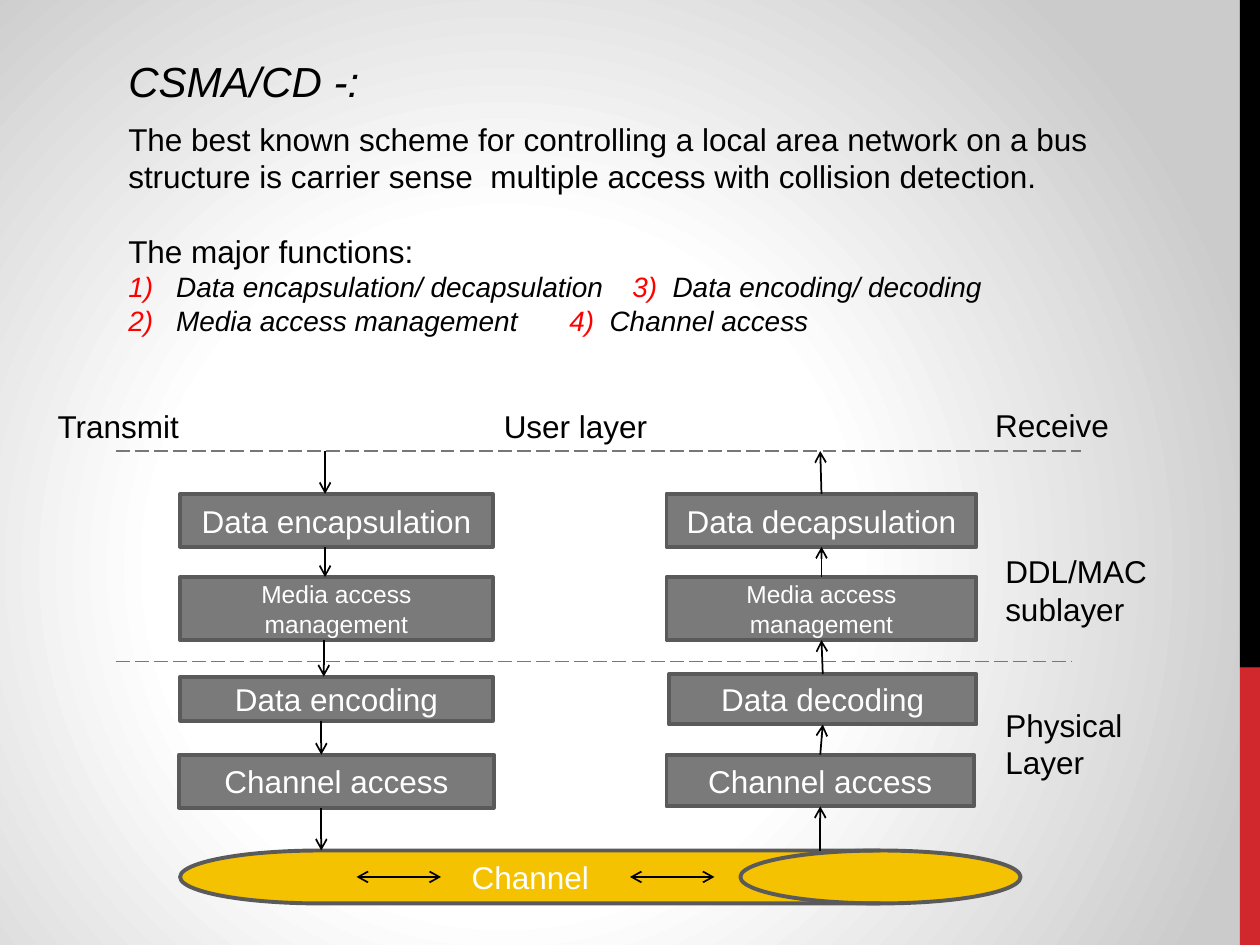
from collections import namedtuple
from dataclasses import dataclass

from lxml import etree
from pptx import Presentation
from pptx.dml.color import RGBColor
from pptx.enum.dml import MSO_LINE
from pptx.enum.shapes import MSO_CONNECTOR, MSO_SHAPE
from pptx.enum.text import MSO_ANCHOR, MSO_AUTO_SIZE, PP_ALIGN
from pptx.oxml import parse_xml
from pptx.oxml.ns import nsdecls, qn
from pptx.util import Inches, Pt

RECTANGLE = MSO_SHAPE.RECTANGLE
DRUM = MSO_SHAPE.FLOWCHART_DIRECT_ACCESS_STORAGE
STRAIGHT = MSO_CONNECTOR.STRAIGHT
LONG_DASH = MSO_LINE.LONG_DASH
CENTER, LEFT = PP_ALIGN.CENTER, PP_ALIGN.LEFT
MIDDLE, GROW = MSO_ANCHOR.MIDDLE, MSO_AUTO_SIZE.SHAPE_TO_FIT_TEXT
TOP_SIDE, BOTTOM_SIDE = 0, 2

Box = namedtuple("Box", "left top width height")
Stage = namedtuple("Stage", "label dx top width height size")


@dataclass(frozen=True)
class Theme:
    font: str = "Arial"
    title: int = 24
    body: int = 18
    item: int = 16
    small: int = 14
    black: str = "000000"
    white: str = "FFFFFF"
    red: str = "FF0000"
    accent: str = "D1282E"
    stage: str = "7A7A7A"
    outline: str = "5A5A5A"
    divider: str = "777777"
    channel: str = "F5C201"
    shade: str = "CBCBCB"


THEME = Theme()


def inches(values):
    return [Inches(value) for value in values]


def add_run(paragraph, text, size=THEME.body, color=THEME.black, italic=False):
    run = paragraph.add_run()
    run.text = text
    run.font.color.rgb = RGBColor.from_string(color)
    formats = {"name": THEME.font, "size": Pt(size), "italic": italic}
    for name, value in formats.items():
        setattr(run.font, name, value)


def add_text_frame(slide, box):
    frame = slide.shapes.add_textbox(*inches(box)).text_frame
    frame.word_wrap = True
    frame.auto_size = GROW
    return frame


def add_label(slide, box, text, **formats):
    add_run(add_text_frame(slide, box).paragraphs[0], text, **formats)


def add_block(slide, box, fill, preset=RECTANGLE, outline=None, text="", size=THEME.body):
    shape = slide.shapes.add_shape(preset, *inches(box))
    shape.shadow.inherit = False
    shape.fill.solid()
    shape.fill.fore_color.rgb = RGBColor.from_string(fill)
    if outline:
        shape.line.color.rgb = RGBColor.from_string(outline)
        shape.line.width = Pt(2.25)
    else:
        shape.line.fill.background()
    if text:
        frame = shape.text_frame
        frame.word_wrap = True
        frame.vertical_anchor = MIDDLE
        frame.paragraphs[0].alignment = CENTER
        add_run(frame.paragraphs[0], text, size, THEME.white)
    return shape


def add_line(slide, start, end, color=THEME.black, dash=None, ends=("tailEnd",)):
    connector = slide.shapes.add_connector(STRAIGHT, *inches((*start, *end)))
    connector.line.color.rgb = RGBColor.from_string(color)
    connector.line.width = Pt(1)
    if dash:
        connector.line.dash_style = dash
    properties = connector.line._get_or_add_ln()
    for name in ends:
        etree.SubElement(properties, qn(f"a:{name}"), type="arrow")
    etree.SubElement(connector._element.spPr, qn("a:effectLst"))
    return connector


def paint_background(slide):
    """Fill the slide with a circular gradient, light in the middle."""
    slide.background.fill.solid()
    properties = slide.background._cSld.bg.bgPr
    stops = ((0, THEME.white), (44, THEME.white), (100, THEME.shade))
    stop_xml = "".join(
        f'<a:gs pos="{position * 1000}"><a:srgbClr val="{color}"/></a:gs>'
        for position, color in stops
    )
    gradient = parse_xml(
        f'<a:gradFill {nsdecls("a")} rotWithShape="1"><a:gsLst>{stop_xml}</a:gsLst>'
        '<a:path path="circle"><a:fillToRect l="40000" t="60000" r="60000" b="40000"/>'
        "</a:path></a:gradFill>"
    )
    properties.replace(properties.find(qn("a:solidFill")), gradient)


def add_side_bar(slide, box):
    split = 5.3
    add_block(slide, Box(box.left, box.top + split, box.width, box.height - split), THEME.accent)
    add_block(slide, box._replace(height=split), THEME.black)


def number_paragraph(paragraph):
    """Give the paragraph a hanging red number such as 1)."""
    properties = paragraph._p.get_or_add_pPr()
    indent = Inches(0.38)
    properties.set("marL", str(indent))
    properties.set("indent", str(-indent))
    color = etree.SubElement(properties, qn("a:buClr"))
    etree.SubElement(color, qn("a:srgbClr"), val=THEME.red)
    etree.SubElement(properties, qn("a:buFont"), typeface=THEME.font)
    etree.SubElement(properties, qn("a:buAutoNum"), type="arabicParenR")


def add_introduction(slide, box):
    add_label(slide, box._replace(width=7.92, height=0.5), "CSMA/CD -:",
              size=THEME.title, italic=True)
    frame = add_text_frame(slide, Box(box.left, box.top + 0.51, box.width, box.height - 0.51))
    add_run(frame.paragraphs[0],
            "The best known scheme for controlling a local area network on a bus "
            "structure is carrier sense  multiple access with collision detection.")
    heading = frame.add_paragraph()
    heading.space_before = Pt(21)
    add_run(heading, "The major functions:")
    functions = (
        ("Data encapsulation/ decapsulation", "3)", "Data encoding/ decoding"),
        ("Media access management", "4)", "Channel access"),
    )
    for first, number, second in functions:
        paragraph = frame.add_paragraph()
        paragraph.alignment = LEFT
        number_paragraph(paragraph)
        for text, color in ((f"{first}\t", THEME.black), (f"{number}  ", THEME.red),
                            (second, THEME.black)):
            add_run(paragraph, text, THEME.item, color, italic=True)


def add_stages(slide, box, stages):
    return [
        add_block(slide, Box(box.left + stage.dx, box.top + stage.top, stage.width, stage.height),
                  THEME.stage, outline=THEME.outline, text=stage.label, size=stage.size)
        for stage in stages
    ]


def add_transmit_column(slide, box):
    stages = (
        Stage("Data encapsulation", 0, 0.34, box.width, 0.42, THEME.body),
        Stage("Media access management", 0, 1, box.width, 0.5, THEME.small),
        Stage("Data encoding", 0, 1.79, box.width, 0.35, THEME.body),
        Stage("Channel access", -0.01, 2.41, 2.5, 0.42, THEME.body),
    )
    add_stages(slide, box, stages)
    bottoms = [0] + [stage.top + stage.height for stage in stages]
    tops = [stage.top for stage in stages] + [box.height]
    for x, start, end in zip((1.15, 1.15, 1.14, 1.12, 1.12), bottoms, tops):
        add_line(slide, (box.left + x, box.top + start), (box.left + x, box.top + end))


def add_receive_column(slide, box):
    stages = (
        Stage("Data decapsulation", 0, 0.34, box.width, 0.42, THEME.body),
        Stage("Media access management", 0, 1, box.width, 0.5, THEME.small),
        Stage("Data decoding", 0.02, 1.77, 2.44, 0.4, THEME.body),
        Stage("Channel access", 0, 2.41, 2.44, 0.41, THEME.body),
    )
    blocks = add_stages(slide, box, stages)
    foot = (box.left + 1.22, box.top + box.height)
    head = (box.left + 1.22, box.top)
    for upper, lower in zip([None, *blocks], [*blocks, None]):
        arrow = add_line(slide, foot, head)
        if lower:
            arrow.begin_connect(lower, TOP_SIDE)
        if upper:
            arrow.end_connect(upper, BOTTOM_SIDE)


def add_layers(slide, box):
    for y, width in ((0, box.width), (1.67, 7.58)):
        add_line(slide, (box.left, box.top + y), (box.left + width, box.top + y),
                 THEME.divider, LONG_DASH, ends=())
    labels = (
        ("Transmit", -0.56, -0.4, 1.33, 0.4),
        ("User layer", 2.98, -0.4, 2.17, 0.42),
        ("Receive", 6.88, -0.41, 1.42, 0.4),
        ("DDL/MAC sublayer", 6.96, 0.75, 1.92, 0.71),
        ("Physical Layer", 6.96, 1.97, 1.71, 0.71),
    )
    for text, dx, dy, width, height in labels:
        add_label(slide, Box(box.left + dx, box.top + dy, width, height), text)


def add_channel(slide, box):
    add_block(slide, box, THEME.channel, DRUM, THEME.outline, "Channel")
    y = box.top + box.height / 2
    for x in (box.left + 1.4, box.left + 3.57):
        add_line(slide, (x, y), (x + 0.67, y), ends=("headEnd", "tailEnd"))


def main():
    presentation = Presentation()
    presentation.slide_width, presentation.slide_height = inches((10, 7.5))
    slide = presentation.slides.add_slide(presentation.slide_layouts[6])
    paint_background(slide)
    add_side_bar(slide, Box(9.84, 0, 0.16, 7.5))
    add_introduction(slide, Box(0.92, 0.39, 8.17, 2.66))
    add_layers(slide, Box(0.92, 3.58, 7.66, 3.17))
    add_channel(slide, Box(1.43, 6.75, 6.67, 0.42))
    add_transmit_column(slide, Box(1.43, 3.58, 2.48, 3.17))
    add_receive_column(slide, Box(5.29, 3.58, 2.46, 3.17))
    presentation.save("out.pptx")


if __name__ == "__main__":
    main()
